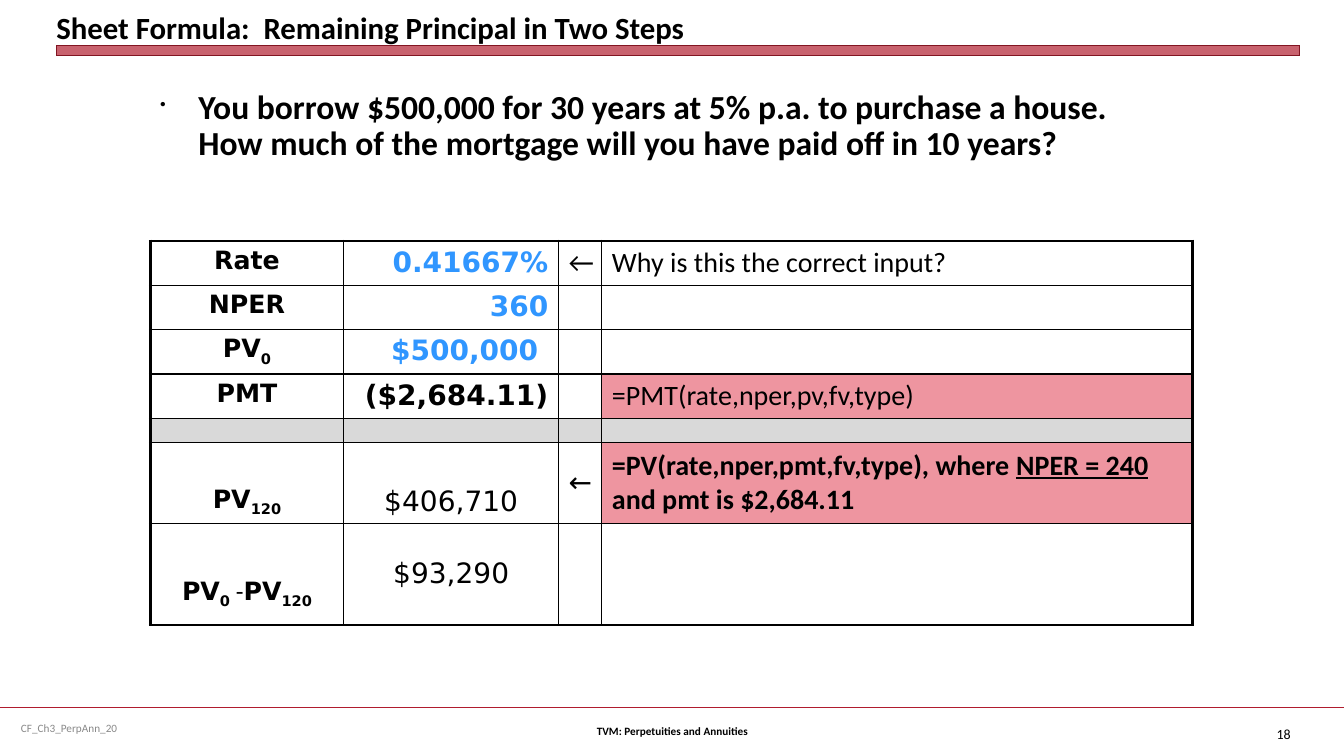
from dataclasses import dataclass
from typing import Optional

from lxml import etree
from pptx import Presentation
from pptx import util as u
from pptx.dml.color import RGBColor
from pptx.enum import shapes, text
from pptx.oxml import ns

SANS, MONO = "Calibri", "DejaVu Sans"
BLACK, BLUE, PINK, GRAY, RED = "000000", "3096FF", "EE95A0", "D9D9D9", "B01C2E"
LEFT, MID, RIGHT = text.PP_ALIGN.LEFT, text.PP_ALIGN.CENTER, text.PP_ALIGN.RIGHT
TOP, CENTER, LOW = (text.MSO_ANCHOR.TOP, text.MSO_ANCHOR.MIDDLE,
                    text.MSO_ANCHOR.BOTTOM)


@dataclass
class Run:
    text: str
    sub: bool = False
    under: bool = False
    plain: bool = False


@dataclass
class Style:
    size: float
    face: str = SANS
    hue: str = BLACK
    bold: bool = False
    align: text.PP_ALIGN = LEFT


@dataclass
class Cell:
    runs: list[Run]
    style: Style
    anchor: text.MSO_ANCHOR = TOP
    fill: Optional[str] = None
    right: float = 0.1
    low: float = 0.05


@dataclass
class Label:
    text: str
    box: tuple[float, float, float, float]
    style: Style
    anchor: text.MSO_ANCHOR = CENTER
    inset: bool = True


def color(code: str) -> RGBColor:
    return RGBColor.from_string(code)


def add(parent, tag: str, **attrs):
    return etree.SubElement(parent, ns.qn(tag), attrs)


def write(par, runs: list[Run], style: Style) -> None:
    par.alignment = style.align
    font = par.font
    font.size, font.name, font.bold = u.Pt(style.size), style.face, style.bold
    font.color.rgb = color(style.hue)
    for item in runs:
        run = par.add_run()
        run.text = item.text
        if item.sub:
            run.font._element.set("baseline", "-25000")
        if item.under:
            run.font.underline = True
        if item.plain:
            run.font.name, run.font.bold = SANS, False


def label(slide, item: Label) -> None:
    box = slide.shapes.add_textbox(*map(u.Inches, item.box))
    frame = box.text_frame
    frame.word_wrap = True
    frame.vertical_anchor = item.anchor
    if not item.inset:
        frame.margin_left = frame.margin_right = 0
        frame.margin_top = frame.margin_bottom = 0
    write(frame.paragraphs[0], [Run(item.text)], item.style)


def bullet(slide, words: str) -> None:
    box = slide.shapes.add_textbox(*map(u.Inches, (1.49, 0.85, 10.02, 1.13)))
    frame = box.text_frame
    frame.word_wrap = True
    par = frame.paragraphs[0]
    par.line_spacing = 0.9
    props = par._p.get_or_add_pPr()
    props.set("marL", str(u.Inches(0.38)))
    props.set("indent", str(u.Inches(-0.38)))
    add(props, "a:buSzPct", val="50000")
    add(props, "a:buChar", char="•")
    write(par, [Run(words)], Style(24, bold=True))


def edge(cell, sides: dict[str, float]) -> None:
    """Draw the cell borders, given as side letter to width in points."""
    props = cell._tc.get_or_add_tcPr()
    for side, width in sides.items():
        line = add(props, f"a:ln{side}", w=str(u.Pt(width)))
        add(add(line, "a:solidFill"), "a:srgbClr", val=BLACK)


def table(slide, rows: list[list[Optional[Cell]]], wide: list[float],
          high: list[float], blank: int) -> None:
    """Fill the grid; row number blank is a thin gray divider."""
    frame = slide.shapes.add_table(len(high), len(wide), u.Inches(1.49),
                                   u.Inches(2.39), u.Inches(sum(wide)),
                                   u.Inches(sum(high)))
    grid = frame.table
    grid.first_row = grid.horz_banding = False
    for col, size in zip(grid.columns, wide):
        col.width = u.Inches(size)
    for r, size in enumerate(high):
        grid.rows[r].height = u.Inches(size)
        for c in range(len(wide)):
            cell, item = grid.cell(r, c), rows[r][c]
            edge(cell, {"L": 2.25 if c == 0 else 1,
                        "R": 2.25 if c == len(wide) - 1 else 1,
                        "T": 2.25 if r == 0 else 1,
                        "B": 2.25 if r == len(high) - 1 else 1})
            fill = GRAY if r == blank else item.fill if item else None
            if fill:
                cell.fill.solid()
                cell.fill.fore_color.rgb = color(fill)
            else:
                cell.fill.background()
            if item:
                cell.vertical_anchor = item.anchor
                cell.margin_right = u.Inches(item.right)
                cell.margin_bottom = u.Inches(item.low)
                write(cell.text_frame.paragraphs[0], item.runs, item.style)
            else:
                cell.margin_top = cell.margin_bottom = 0
                add(cell.text_frame.paragraphs[0]._p, "a:endParaRPr", sz="600")


def outline(shape, hue: str, width: float) -> None:
    """Set the line and drop the theme style beneath it."""
    shape.line.color.rgb = color(hue)
    shape.line.width = u.Pt(width)
    root = shape._element
    root.remove(root.find(ns.qn("p:style")))


def frame(slide) -> None:
    """Draw the bar under the title and the line above the footer."""
    bar = slide.shapes.add_shape(shapes.MSO_SHAPE.RECTANGLE, *map(
        u.Inches, (0.56, 0.45, 12.33, 0.1)))
    bar.shadow.inherit = False
    bar.fill.solid()
    bar.fill.fore_color.rgb = color(RED)
    tint = bar._element.spPr.find(ns.qn("a:solidFill"))[0]
    add(tint, "a:alpha", val="69000")
    outline(bar, "821522", 0)
    rule = slide.shapes.add_connector(shapes.MSO_CONNECTOR.STRAIGHT, 0,
                                      u.Inches(7.02), u.Inches(13.33),
                                      u.Inches(7.02))
    outline(rule, RED, 1.25)
    add(rule._element.spPr, "a:effectLst")


HEAD = Style(18, MONO, bold=True, align=MID)
INPUT = Style(20, MONO, BLUE, True, RIGHT)
PAY = Style(20, MONO, bold=True, align=RIGHT)
VALUE = Style(20, MONO, align=MID)
NOTE, STRONG = Style(20), Style(20, bold=True)
PV, ZERO, LATER = Run("PV"), Run("0", sub=True), Run("120", sub=True)

ROWS = [
    [Cell([Run("Rate")], HEAD), Cell([Run("0.41667%")], INPUT),
     Cell([Run("←")], NOTE), Cell([Run("Why is this the correct input?")], NOTE)],
    [Cell([Run("NPER")], HEAD), Cell([Run("360")], INPUT), None, None],
    [Cell([PV, ZERO], HEAD), Cell([Run("$500,000")], INPUT, right=0.2),
     None, None],
    [Cell([Run("PMT")], HEAD), Cell([Run("($2,684.11)")], PAY), None,
     Cell([Run("=PMT(rate,nper,pv,fv,type)")], NOTE, fill=PINK)],
    [None] * 4,
    [Cell([PV, LATER], HEAD, LOW), Cell([Run("$406,710")], VALUE, LOW),
     Cell([Run("←")], VALUE, CENTER),
     Cell([Run("=PV(rate,nper,pmt,fv,type), where "),
           Run("NPER = 240 ", under=True), Run("and pmt is $2,684.11")],
          STRONG, CENTER, PINK)],
    [Cell([PV, ZERO, Run(" -", plain=True), PV, LATER], HEAD, LOW, low=0.15),
     Cell([Run("$93,290")], VALUE, CENTER), None, None],
]
LABELS = [
    Label("Sheet Formula:  Remaining Principal in Two Steps",
          (0.56, 0.05, 12.33, 0.4), Style(22, bold=True), LOW, False),
    Label("CF_Ch3_PerpAnn_20", (0.11, 7.02, 3.44, 0.4), Style(8, hue="898989")),
    Label("TVM: Perpetuities and Annuities", (4.56, 7.05, 4.22, 0.4),
          Style(8, bold=True, align=MID)),
    Label("18", (12.23, 7.08, 0.67, 0.4), Style(10, align=RIGHT)),
]


def main() -> None:
    deck = Presentation()
    deck.slide_width, deck.slide_height = u.Inches(13.33), u.Inches(7.5)
    slide = deck.slides.add_slide(deck.slide_layouts[6])
    frame(slide)
    for item in LABELS:
        label(slide, item)
    table(slide, ROWS, [1.92, 2.13, 0.43, 5.86],
          [0.44, 0.44, 0.44, 0.44, 0.24, 0.8, 1.01], blank=4)
    bullet(slide, "You borrow $500,000 for 30 years at 5% p.a. to purchase a "
           "house.  How much of the mortgage will you have paid off in 10 years?")
    deck.save("out.pptx")


if __name__ == "__main__":
    main()
